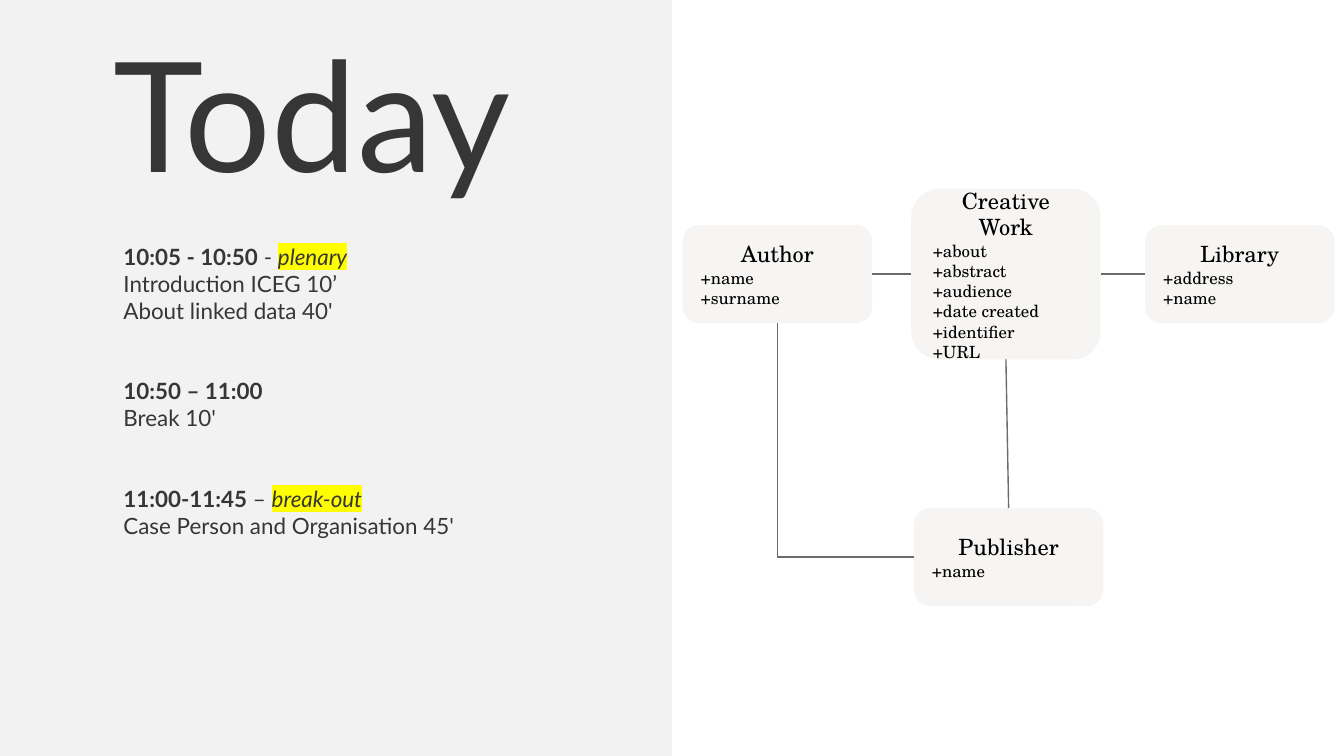
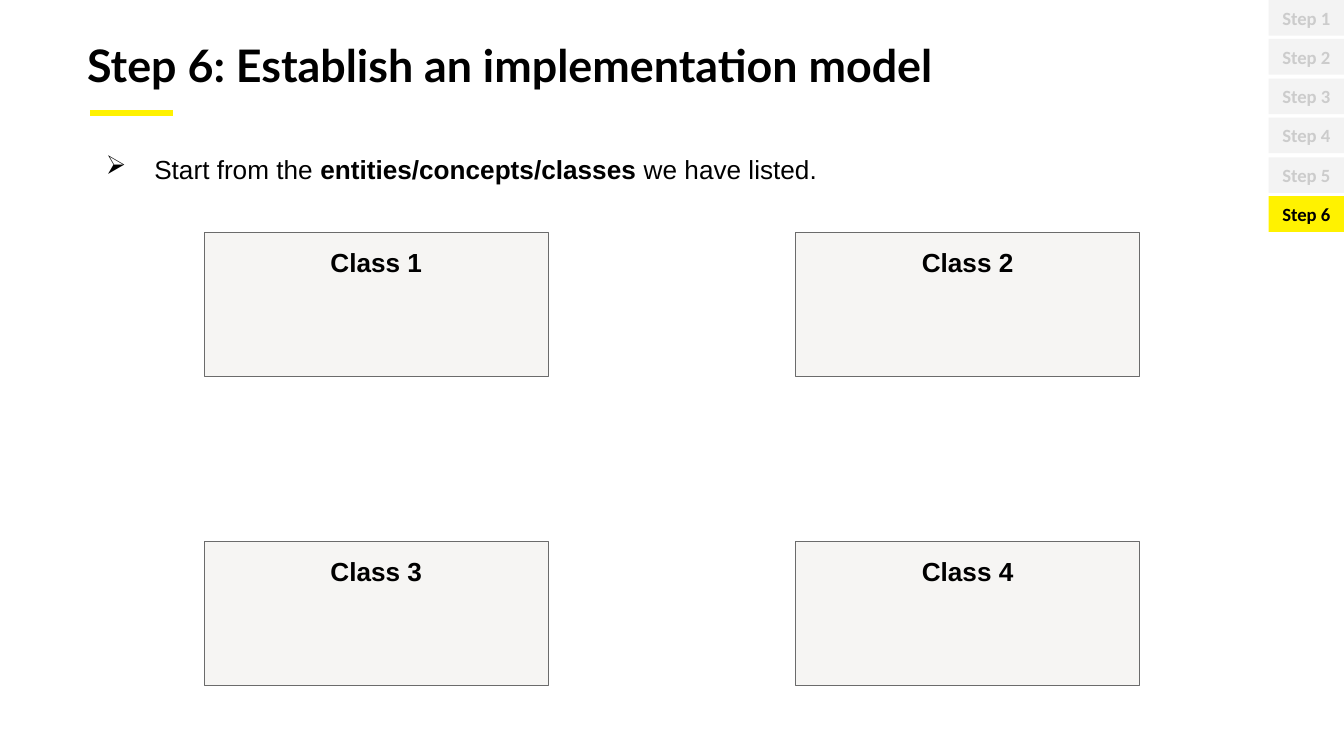
import pptx
import pptx.dml.color
import pptx.enum.dml
import pptx.enum.shapes
import pptx.enum.text
import pptx.oxml.ns
import pptx.util
from lxml import etree

PX = 4572
INK, BLACK, WHITE = "373636", "000000", "FFFFFF"
PALE, SAND, LINE = "F2F2F2", "F6F5F3", "6B6B6B"
TAB, DIM, YELLOW, MARK = "F3F3F3", "CCCCCC", "FFF200", "FFFF00"
LATO, SERIF, SANS, SMALL = "Lato", "TeX Gyre Schola", "Arial", "Calibri"

KIND = pptx.enum.shapes.MSO_SHAPE
JOIN = pptx.enum.shapes.MSO_CONNECTOR
ALIGN = pptx.enum.text.PP_ALIGN
ANCHOR = pptx.enum.text.MSO_ANCHOR
TOP, LEFT, BOTTOM, RIGHT = range(4)


def px(*nums):
    return [pptx.util.Emu(num * PX) for num in nums]


def paint(target, color):
    if hasattr(target, "solid"):
        target.solid()
        target = target.fore_color
    target.rgb = pptx.dml.color.RGBColor.from_string(color)


def node(root, tag, **attrs):
    return etree.SubElement(root, pptx.oxml.ns.qn(tag), attrs)


def write(par, text, size=12, font=LATO, color=INK, bold=False, italic=False, mark=None):
    run = par.add_run()
    run.text = text
    run.font.size = pptx.util.Pt(size)
    run.font.bold, run.font.italic = bold, italic
    paint(run.font.fill, color)
    run.font.name = font
    if mark:
        props = run.font._element
        light = node(props, "a:highlight")
        node(light, "a:srgbClr", val=mark)
        props.find(pptx.oxml.ns.qn("a:solidFill")).addnext(light)


class Deck:
    def __init__(self):
        self.show = pptx.Presentation()
        self.show.slide_width, self.show.slide_height = px(2000, 1125)
        self.slide = None

    def page(self, color):
        self.slide = self.show.slides.add_slide(self.show.slide_layouts[6])
        paint(self.slide.background.fill, color)

    def frame(self, shape, pad, anchor=ANCHOR.TOP):
        frame = shape.text_frame
        frame.word_wrap = True
        frame.vertical_anchor = anchor
        side, edge = px(*pad)
        frame.margin_left = frame.margin_right = side
        frame.margin_top = frame.margin_bottom = edge
        return frame

    def line(self, frame, *runs, align=ALIGN.LEFT, before=0, **style):
        par = frame.paragraphs[0]
        if par.runs:
            par = frame.add_paragraph()
        par.alignment = align
        if before:
            par.space_before = pptx.util.Pt(before)
        for run in runs:
            text, extra = (run, {}) if isinstance(run, str) else run
            write(par, text, **{**style, **extra})
        return par

    def text(self, left, top, width, height, pad=(20, 20)):
        return self.frame(self.slide.shapes.add_textbox(*px(left, top, width, height)), pad)

    def box(self, left, top, width, height, fill, kind=KIND.RECTANGLE, edge=None):
        shape = self.slide.shapes.add_shape(kind, *px(left, top, width, height))
        shape.shadow.inherit = False
        paint(shape.fill, fill)
        if edge:
            paint(shape.line.fill, edge)
            shape.line.width = pptx.util.Pt(0.75)
        else:
            shape.line.fill.background()
        return shape

    def card(self, name, fields, left, top, height=146):
        shape = self.box(left, top, 282, height, SAND, KIND.ROUNDED_RECTANGLE)
        frame = self.frame(shape, (20, 20), ANCHOR.MIDDLE)
        style = dict(font=SERIF, color=BLACK)
        self.line(frame, name, align=ALIGN.CENTER, **style)
        for field in fields:
            self.line(frame, "+" + field, size=9, **style)
        return shape

    def rule(self, ends=(0, 0, 0, 0), color=LINE, width=0.75, kind=JOIN.STRAIGHT):
        link = self.slide.shapes.add_connector(kind, *px(*ends))
        paint(link.line.fill, color)
        link.line.width = pptx.util.Pt(width)
        node(link._element.spPr, "a:effectLst")
        return link

    def link(self, start, side, end, goal, kind=JOIN.STRAIGHT):
        link = self.rule(kind=kind)
        link.begin_connect(start, side)
        link.end_connect(end, goal)
        return link

    def bend(self, start, end):
        link = self.link(start, BOTTOM, end, LEFT, JOIN.ELBOW)
        wide, high = link.width, link.height
        mid_x, mid_y = link.left + wide // 2, link.top + high // 2
        link.left, link.top = mid_x - high // 2, mid_y - wide // 2
        link.width, link.height = high, wide
        props = link._element.spPr
        form = props.find(pptx.oxml.ns.qn("a:xfrm"))
        form.set("rot", "16200000")
        form.set("flipH", "1")
        props.find(pptx.oxml.ns.qn("a:prstGeom")).set("prst", "bentConnector2")

    def bullet(self, par, mark):
        props = par._p.get_or_add_pPr()
        hang, = px(72)
        props.set("marL", str(px(100)[0]))
        props.set("indent", str(-hang))
        node(node(props, "a:buClr"), "a:srgbClr", val=BLACK)
        node(props, "a:buChar", char=mark)


def today(deck):
    deck.page(PALE)
    deck.box(1000, 0, 1000, 1125, WHITE)
    head = deck.text(-4, 0, 936, 184)
    deck.line(head, "Today", size=82, align=ALIGN.CENTER).line_spacing = 1.03

    plan = deck.text(164, 352, 602, 512, (20, 10))
    slots = [
        ("10:05 - 10:50", " - ", "plenary", ["Introduction ICEG 10’", "About linked data 40'"]),
        ("10:50 – 11:00", "", "", ["Break 10'"]),
        ("11:00-11:45", " – ", "break-out", ["Case Person and Organisation 45'"]),
    ]
    for num, (time, dash, mode, items) in enumerate(slots):
        runs = [(time, dict(bold=True))]
        if mode:
            runs += [dash, (mode, dict(italic=True, mark=MARK))]
        deck.line(plan, *runs, before=28.8 if num else 0)
        for item in items:
            deck.line(plan, item)

    author = deck.card("Author", ["name", "surname"], 1016, 335)
    store = deck.card("Library", ["address", "name"], 1704, 335)
    fields = ["about", "abstract", "audience", "date created", "identifier", "URL"]
    work = deck.card("Creative Work", fields, 1356, 281, 254)
    house = deck.card("Publisher", ["name"], 1360, 756)
    deck.link(author, RIGHT, work, LEFT)
    deck.link(work, RIGHT, store, LEFT)
    deck.link(work, BOTTOM, house, TOP)
    deck.bend(author, house)


def model(deck):
    deck.page(WHITE)
    head = deck.text(110, 36, 1890, 96)
    deck.line(head, "Step 6: Establish an implementation model", size=24, color=BLACK, bold=True)
    deck.rule((134, 168, 258, 168), YELLOW, 3)

    for num in range(6):
        live = num == 5
        tab = deck.box(1888, num * 117 // 2, 112, 53, YELLOW if live else TAB)
        deck.line(deck.frame(tab, (18, 8), ANCHOR.MIDDLE), f"Step {num + 1}", size=10,
                  font=SMALL, color=BLACK if live else DIM, bold=True, align=ALIGN.CENTER)

    style = dict(size=14, font=SANS, color=BLACK)
    note = deck.text(110, 218, 1332, 74, (20, 10))
    par = deck.line(note, "Start from the ", ("entities/concepts/classes ", dict(bold=True)),
                    "we have listed.", align=ALIGN.JUSTIFY, **style)
    deck.bullet(par, "➢")

    for num in range(4):
        row, col = divmod(num, 2)
        shape = deck.box(304 + 880 * col, 346 + 460 * row, 512, 214, SAND, edge=LINE)
        deck.line(deck.frame(shape, (20, 20)), f"Class {num + 1}", bold=True,
                  align=ALIGN.CENTER, **style)


def main():
    deck = Deck()
    today(deck)
    model(deck)
    deck.show.save("out.pptx")


if __name__ == "__main__":
    main()
